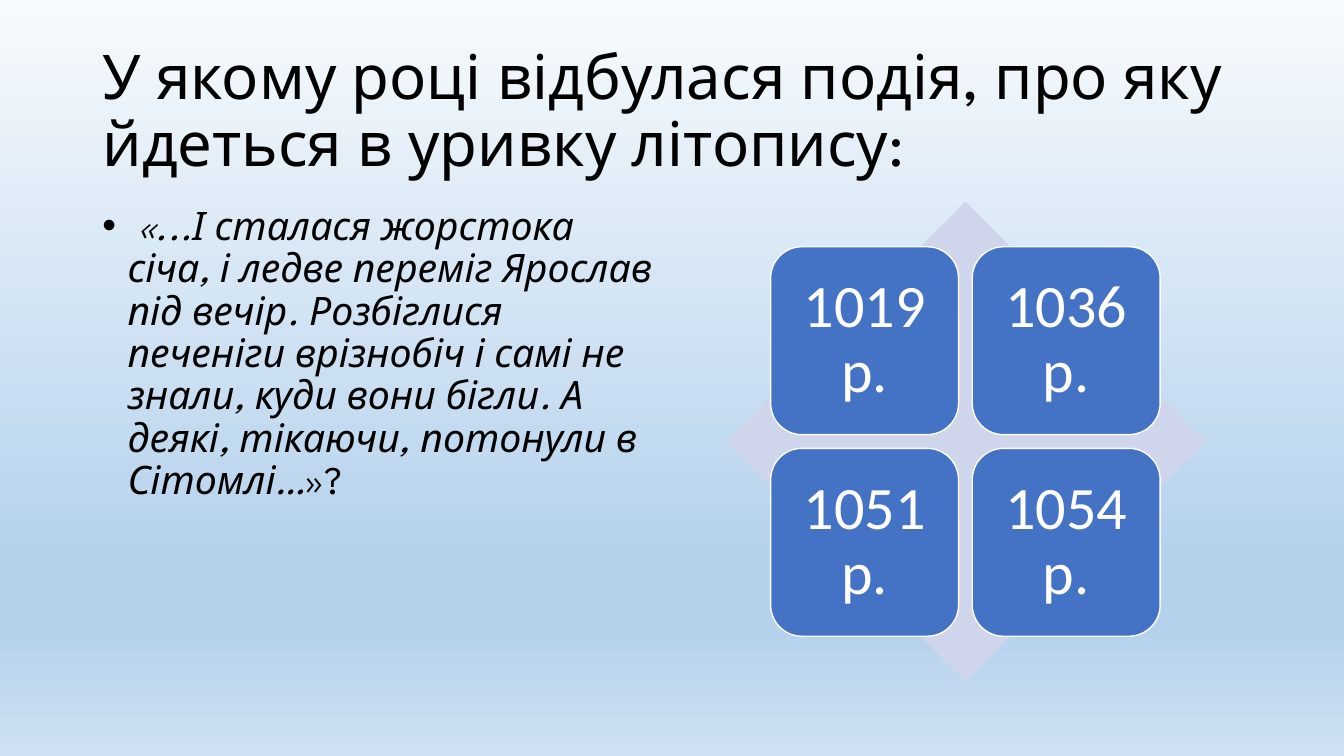
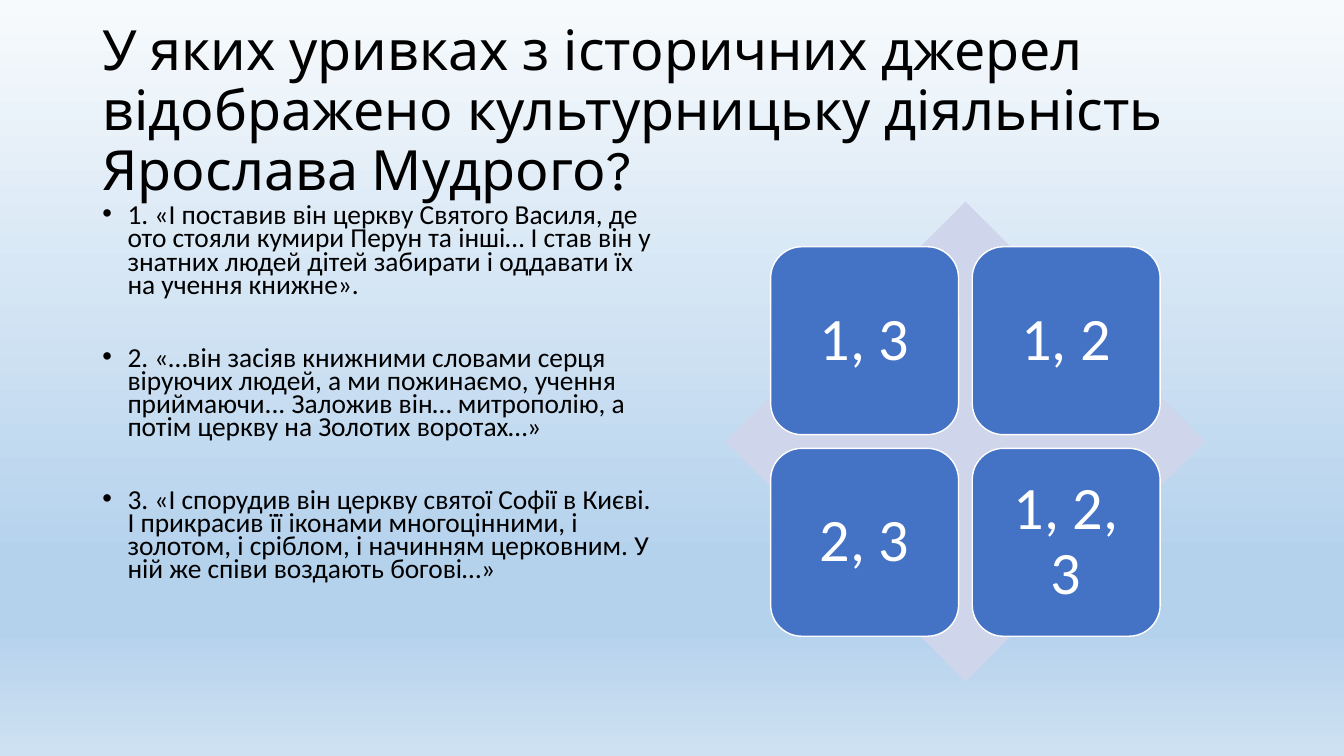
from lxml import etree
from pptx import Presentation
from pptx.dml.color import RGBColor
from pptx.enum.shapes import MSO_SHAPE
from pptx.enum.text import MSO_ANCHOR, MSO_AUTO_SIZE, PP_ALIGN
from pptx.oxml.ns import qn
from pptx.util import Pt

LEFT, CENTER = PP_ALIGN.LEFT, PP_ALIGN.CENTER
TOP, MIDDLE = MSO_ANCHOR.TOP, MSO_ANCHOR.MIDDLE
NO_AUTOFIT = MSO_AUTO_SIZE.NONE
DIAMOND, ROUNDED = MSO_SHAPE.DIAMOND, MSO_SHAPE.ROUNDED_RECTANGLE

PX = 9525
SLIDE_SIZE = (1280, 720)
TITLE_BOX = (88, 38, 1104, 139)
QUOTE_BOX = (88, 192, 544, 457)
DIAMOND_LEFT, DIAMOND_TOP, DIAMOND_SIDE = 691, 192, 457
TILE_SIDE, TILE_GAP, TILE_INSET = 179, 13, 17
BULLET_INDENT = 24

HEADING_FONT, BODY_FONT = "League Spartan", "Calibri"
COLORS = {"text": "000000", "diamond": "CFD5EA", "tile": "4472C4", "white": "FFFFFF"}
BACKGROUND_STOPS = [(0, "F7FAFD"), (74, "B5D2EC"), (83, "B5D2EC"), (100, "CEE1F2")]

# A paragraph is a list of (text, italic) spans.
SLIDES = [
    {
        "title": "У якому році відбулася подія, про яку йдеться в уривку літопису:",
        "title_size": 44,
        "quotes": [[
            (" ", False),
            ("«...І сталася жорстока січа, і ледве переміг Ярослав під вечір. "
             "Розбіглися печеніги врізнобіч і самі не знали, куди вони бігли. "
             "А деякі, тікаючи, потонули в Сітомлі…", True),
            ("»?", False),
        ]],
        "quote_format": {"size": 28, "font": HEADING_FONT, "spacing": 0.9},
        "answers": ["1019 р.", "1036 р.", "1051 р.", "1054 р."],
    },
    {
        "title": "У яких уривках з історичних джерел відображено культурницьку "
                 "діяльність Ярослава Мудрого?",
        "title_size": 39.6,
        "quotes": [
            [("1. «І поставив він церкву Святого Василя, де ото стояли кумири Перун "
              "та інші… І став він у знатних людей дітей забирати і оддавати їх на "
              "учення книжне».", False)],
            [("2. «…він засіяв книжними словами серця віруючих людей, а ми пожинаємо, "
              "учення приймаючи... Заложив він… митрополію, а потім церкву на Золотих "
              "воротах…»", False)],
            [("3. «І спорудив він церкву святої Софії в Києві. І прикрасив її іконами "
              "многоцінними, і золотом, і сріблом, і начинням церковним. У ній же співи "
              "воздають богові…»", False)],
        ],
        "quote_format": {"size": 19.6, "font": BODY_FONT, "spacing": 0.7, "before": 36},
        "answers": ["1, 3", "1, 2", "2, 3", "1, 2, 3"],
    },
]


def rgb(name):
    return RGBColor.from_string(COLORS[name])


def scaled(*lengths):
    return [round(length * PX) for length in lengths]


def add_bullet(para):
    props = para._p.get_or_add_pPr()
    indent = BULLET_INDENT * PX
    props.set("marL", str(indent))
    props.set("indent", str(-indent))
    etree.SubElement(props, qn("a:buFont")).set("typeface", "Arial")
    etree.SubElement(props, qn("a:buChar")).set("char", "•")


def write_text(frame, paragraphs, *, size, font, color="text", align=LEFT,
               anchor=TOP, spacing=0.9, before=0, bullet=False):
    frame.word_wrap = True
    frame.auto_size = NO_AUTOFIT
    frame.vertical_anchor = anchor
    for index, spans in enumerate(paragraphs):
        para = frame.add_paragraph() if index else frame.paragraphs[0]
        if bullet:
            add_bullet(para)
        para.alignment = align
        para.line_spacing = spacing
        para.space_before = Pt(before if index else 0)
        for text, italic in spans:
            span = para.add_run()
            span.text = text
            span.font.size = Pt(size)
            span.font.name = font
            span.font.italic = italic
            span.font.color.rgb = rgb(color)


def add_filled_shape(page, kind, left, top, side, color):
    shape = page.shapes.add_shape(kind, *scaled(left, top, side, side))
    shape.shadow.inherit = False
    shape.fill.solid()
    shape.fill.fore_color.rgb = rgb(color)
    shape.line.fill.background()
    return shape


def add_answer_matrix(page, answers):
    """Draw the answers as a two by two grid centred on a diamond."""
    add_filled_shape(page, DIAMOND, DIAMOND_LEFT, DIAMOND_TOP, DIAMOND_SIDE, "diamond")
    margin = (DIAMOND_SIDE - 2 * TILE_SIDE - TILE_GAP) / 2
    pitch = TILE_SIDE + TILE_GAP
    for index, answer in enumerate(answers):
        row, column = divmod(index, 2)
        tile = add_filled_shape(page, ROUNDED, DIAMOND_LEFT + margin + column * pitch,
                                DIAMOND_TOP + margin + row * pitch, TILE_SIDE, "tile")
        tile.line.color.rgb = rgb("white")
        tile.line.width = Pt(1)
        frame = tile.text_frame
        frame.margin_left = frame.margin_right = TILE_INSET * PX
        frame.margin_top = frame.margin_bottom = TILE_INSET * PX
        write_text(frame, [[(answer, False)]], size=43, font=BODY_FONT,
                   color="white", align=CENTER, anchor=MIDDLE)


def set_background(master):
    fill = master.background.fill
    fill.gradient()
    fill.gradient_angle = 270
    stops = master.element.find(".//" + qn("a:gsLst"))
    for stop in list(stops):
        stops.remove(stop)
    for percent, color in BACKGROUND_STOPS:
        stop = etree.SubElement(stops, qn("a:gs"))
        stop.set("pos", str(percent * 1000))
        etree.SubElement(stop, qn("a:srgbClr")).set("val", color)


def add_question(deck, layout, content):
    page = deck.slides.add_slide(layout)
    title = page.shapes.title
    title.left, title.top, title.width, title.height = scaled(*TITLE_BOX)
    write_text(title.text_frame, [[(content["title"], False)]],
               size=content["title_size"], font=HEADING_FONT, anchor=MIDDLE)
    quote_box = page.shapes.add_textbox(*scaled(*QUOTE_BOX))
    write_text(quote_box.text_frame, content["quotes"], bullet=True,
               **content["quote_format"])
    add_answer_matrix(page, content["answers"])


def main():
    deck = Presentation()
    deck.slide_width, deck.slide_height = scaled(*SLIDE_SIZE)
    set_background(deck.slide_master)
    title_only = deck.slide_layouts.get_by_name("Title Only")
    for content in SLIDES:
        add_question(deck, title_only, content)
    deck.save("out.pptx")


if __name__ == "__main__":
    main()
